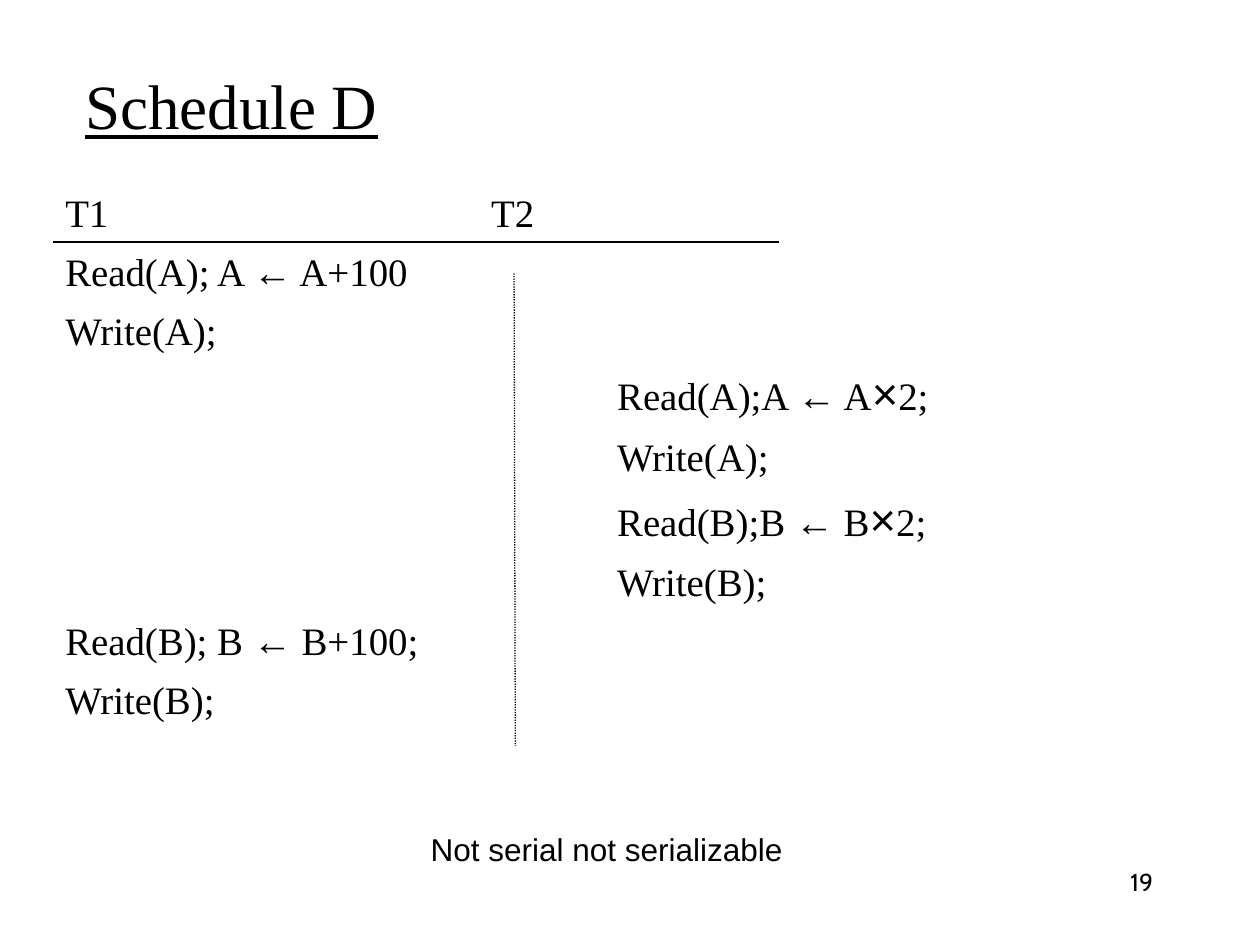
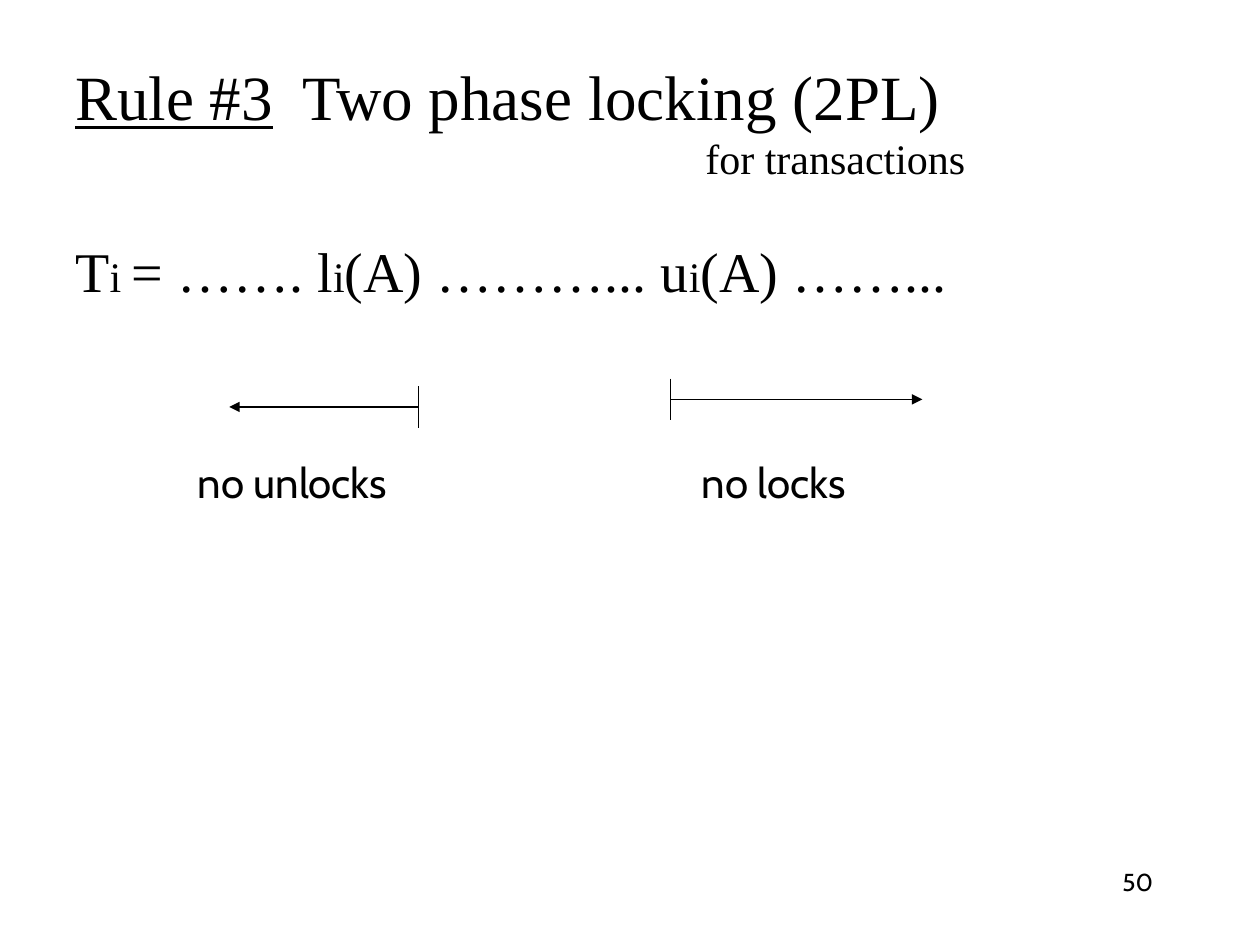
from dataclasses import dataclass
from itertools import groupby

from lxml.etree import SubElement
from pptx import Presentation
from pptx.dml.color import RGBColor
from pptx.enum.dml import MSO_LINE
from pptx.enum.shapes import MSO_CONNECTOR
from pptx.enum.text import MSO_ANCHOR, PP_ALIGN
from pptx.oxml.ns import qn
from pptx.util import Inches, Pt


@dataclass(frozen=True)
class Theme:
    ink: RGBColor = RGBColor(0, 0, 0)
    paper: RGBColor = RGBColor(255, 255, 255)
    serif: str = "Times New Roman"
    sans: str = "Arial"
    label: str = "Cabin"
    title: float = 36
    formula: float = 32
    small: float = 24
    step: float = 22.2
    times_sign: float = 25.9
    note: float = 18
    number: float = 14
    line: float = 0.75


THEME = Theme()
SYMBOL_SIZES = {"←": THEME.step, "×": THEME.times_sign}

T2_HEAD, T2_STEP = 3.38, 4.38
SCHEDULE = [
    "T1\tT2",
    "Read(A); A ← A+100",
    "Write(A);",
    "\t\tRead(A);A ← A×2;",
    "\t\tWrite(A);",
    "\t\tRead(B);B ← B×2;",
    "\t\tWrite(B);",
    "Read(B); B ← B+100;",
    "Write(B);",
]


def add_text(slide, box, top_inset=0.05, anchor=MSO_ANCHOR.TOP, wrap=True):
    tf = slide.shapes.add_textbox(*map(Inches, box)).text_frame
    tf.word_wrap = wrap
    tf.vertical_anchor = anchor
    tf.margin_top = Inches(top_inset)
    return tf


def add_run(p, text, size, font=THEME.serif, underline=False):
    r = p.add_run()
    r.text = text
    r.font.size = Pt(size)
    r.font.name = font
    r.font.color.rgb = THEME.ink
    if underline:
        r.font.underline = True


def set_tabs(p, *stops):
    tabs = SubElement(p._p.get_or_add_pPr(), qn("a:tabLst"))
    for stop in stops:
        SubElement(tabs, qn("a:tab"), pos=str(Inches(stop)), algn="l")


def add_line(slide, x1, y1, x2, y2, dash=None, arrow=False):
    s = slide.shapes.add_connector(
        MSO_CONNECTOR.STRAIGHT, *map(Inches, (x1, y1, x2, y2)))
    s.line.color.rgb = THEME.ink
    s.line.width = Pt(THEME.line)
    if dash:
        s.line.dash_style = dash
    if arrow:
        SubElement(s.line._get_or_add_ln(), qn("a:tailEnd"), type="triangle")
    SubElement(s._element.spPr, qn("a:effectLst"))


def add_base(prs, number):
    """Add a blank slide with its page number."""
    slide = prs.slides.add_slide(prs.slide_layouts[6])
    slide.background.fill.solid()
    slide.background.fill.fore_color.rgb = THEME.paper
    p = add_text(slide, (7.17, 6.83, 2.08, 0.5)).paragraphs[0]
    p.alignment = PP_ALIGN.RIGHT
    add_run(p, number, THEME.number, THEME.label)
    return slide


def add_title(slide, box, underlined, rest="", subtitle=""):
    tf = add_text(slide, box, anchor=MSO_ANCHOR.MIDDLE)
    p = tf.paragraphs[0]
    if rest:
        set_tabs(p, 1.8)
    add_run(p, underlined, THEME.title, underline=True)
    if rest:
        add_run(p, "\t" + rest, THEME.title)
    if subtitle:
        p = tf.add_paragraph()
        p._p.get_or_add_pPr().set("marL", str(Inches(5)))
        add_run(p, subtitle, THEME.small)


def add_schedule(slide, box, steps):
    """Steps of two transactions, T2 set off by tabs, with the rules between."""
    left, top, _, _ = box
    tf = add_text(slide, box, top_inset=0.08)
    for i, step in enumerate(steps):
        p = tf.paragraphs[0] if i == 0 else tf.add_paragraph()
        set_tabs(p, T2_HEAD, T2_STEP)
        if i:
            p.space_before = Pt(7)
        for symbol, chars in groupby(step, key=lambda c: c if c in SYMBOL_SIZES else ""):
            add_run(p, "".join(chars), SYMBOL_SIZES.get(symbol, THEME.step),
                    THEME.sans if symbol else THEME.serif)
    add_line(slide, left, top + 0.5, left + 5.76, top + 0.5)
    add_line(slide, left + 3.66, top + 0.75, left + 3.67, top + 4.5,
             dash=MSO_LINE.ROUND_DOT)


def add_formula(slide, box, parts):
    """Alternate full-size text with small indices."""
    p = add_text(slide, box, top_inset=0.1).paragraphs[0]
    for i, part in enumerate(parts):
        add_run(p, part, THEME.small if i % 2 else THEME.formula)


def add_phase_arrow(slide, x, y, length):
    """Arrow from an end bar centred on (x, y); a negative length points left."""
    add_line(slide, x, y, x + length, y, arrow=True)
    add_line(slide, x, y - 0.165, x, y + 0.165)


def schedule_slide(prs):
    slide = add_base(prs, "19")
    add_title(slide, (0.58, 0.37, 8.5, 0.92), "Schedule D")
    add_schedule(slide, (0.42, 1.42, 7.17, 5.42), SCHEDULE)
    note = add_text(slide, (3.32, 6.54, 2.99, 0.4), wrap=False)
    add_run(note.paragraphs[0], "Not serial not serializable", THEME.note, THEME.sans)


def locking_slide(prs):
    slide = add_base(prs, "50")
    add_title(slide, (0.5, 0.33, 9, 1.25), "Rule #3",
              "Two phase locking (2PL)", "for transactions")
    add_formula(slide, (0.5, 1.78, 9, 4.95),
                ["T", "i ", "= ……. l", "i", "(A) ………... u", "i", "(A) ……..."])
    add_phase_arrow(slide, 3.32, 3.23, -1.5)
    add_phase_arrow(slide, 5.32, 3.17, 2)
    labels = add_text(slide, (1.47, 3.57, 5.48, 0.5), anchor=MSO_ANCHOR.MIDDLE)
    p = labels.paragraphs[0]
    set_tabs(p, 4)
    add_run(p, "no unlocks\tno locks", THEME.small, THEME.label)


def main():
    prs = Presentation()
    prs.slide_width, prs.slide_height = Inches(10), Inches(7.5)
    schedule_slide(prs)
    locking_slide(prs)
    prs.save("out.pptx")


if __name__ == "__main__":
    main()
